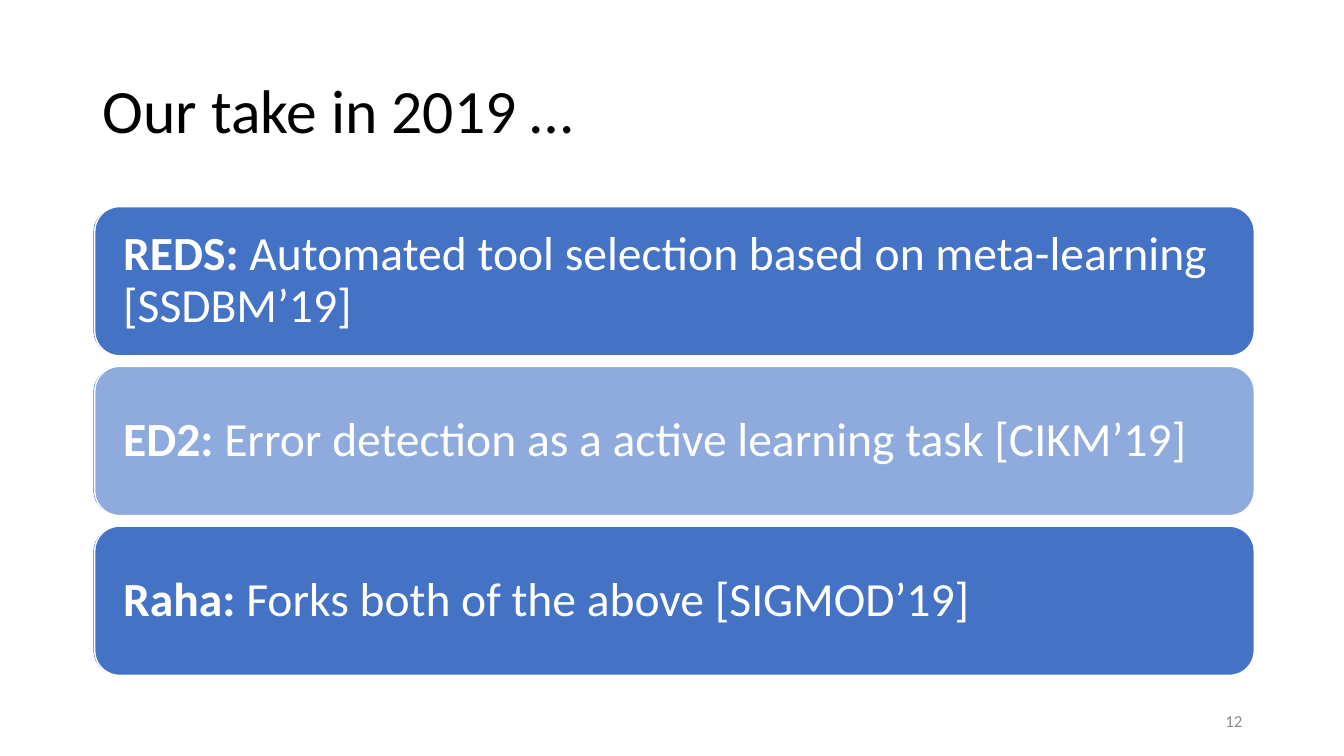
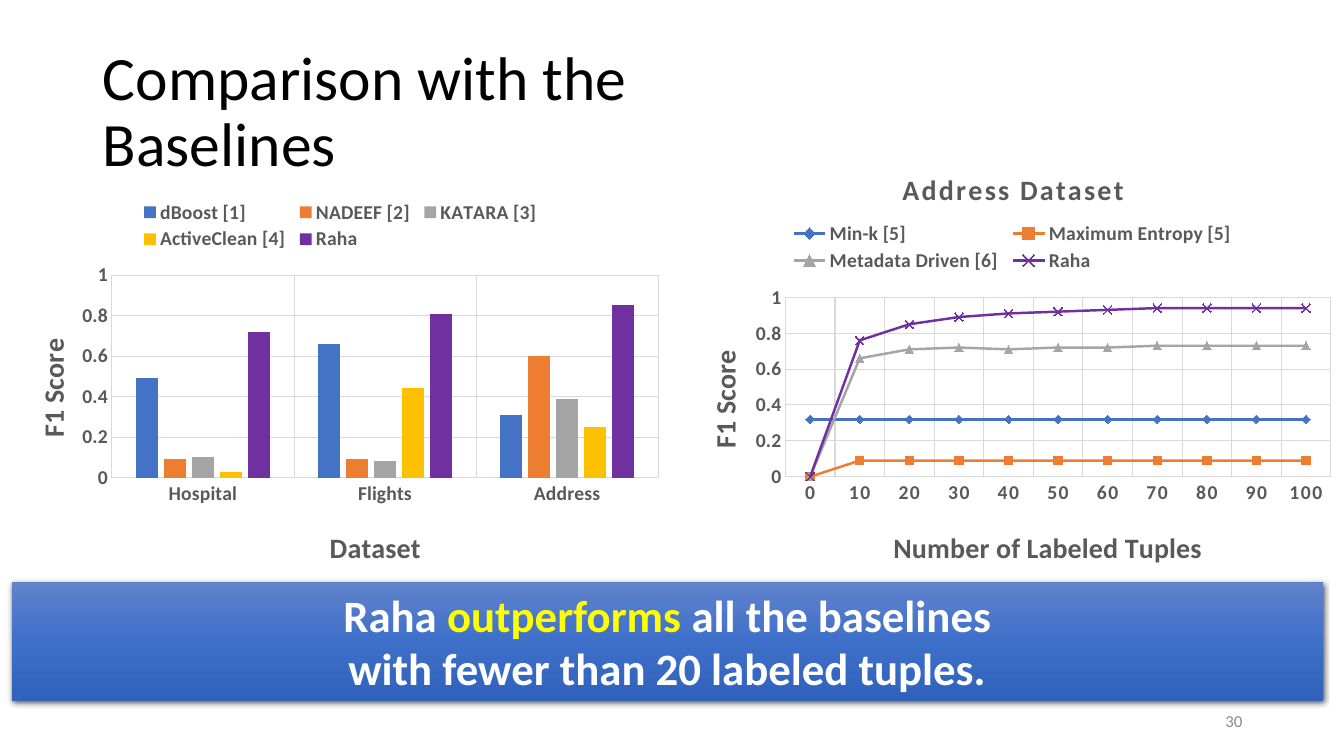
from dataclasses import dataclass
from typing import NamedTuple

import pptx
import pptx.chart.data
import pptx.dml.color
import pptx.enum.chart
import pptx.enum.shapes
import pptx.enum.text
import pptx.oxml
import pptx.oxml.ns
import pptx.util
from pptx.util import Inches

Align = pptx.enum.text.PP_ALIGN
Anchor = pptx.enum.text.MSO_ANCHOR
ChartType = pptx.enum.chart.XL_CHART_TYPE
Marker = pptx.enum.chart.XL_MARKER_STYLE
Shape = pptx.enum.shapes.MSO_SHAPE


@dataclass(frozen=True)
class Theme:
    font: str = "Calibri"
    black: str = "000000"
    white: str = "FFFFFF"
    blue: str = "4472C4"
    pale_blue: str = "8FAADC"
    orange: str = "ED7D31"
    gray: str = "A5A5A5"
    gold: str = "FFC000"
    purple: str = "7030A0"
    yellow: str = "FFFF00"
    footer: str = "8C8C8C"
    chart_text: str = "595959"
    grid: str = "D9D9D9"
    gradient: tuple[str, ...] = ("6183CB", "3E70CA", "3062BB")
    title_size: int = 44
    card_size: int = 34
    banner_size: int = 32
    axis_title_size: int = 20
    label_size: int = 14
    footer_size: int = 12


THEME = Theme()


class Box(NamedTuple):
    """Left, top, width and height in inches."""
    x: float
    y: float
    w: float = 0
    h: float = 0

    def lengths(self) -> list[int]:
        return [Inches(v) for v in self]


class Card(NamedTuple):
    name: str
    text: str
    fill: str


class Series(NamedTuple):
    name: str
    values: list[float]
    color: str
    marker: Marker | None = None


@dataclass(frozen=True)
class ChartSpec:
    kind: ChartType
    box: Box
    plot: Box
    legend: Box
    categories: list[str]
    series: list[Series]
    x_title: str
    x_title_at: Box
    y_title_at: Box
    title: str = ""
    title_at: Box | None = None


TITLE_BOX = Box(0.92, 0.4, 11.5, 1.45)
NUMBER_BOX = Box(9.42, 6.95, 3, 0.4)
CARD_TOP, CARD_STEP, CARD_W, CARD_H = 2.05, 1.585, 11.5, 1.48
CARD_X, CARD_BACK_X = 0.94, 0.92
BANNER_BOX = Box(0.12, 5.77, 13, 1.18)

CARDS = [
    Card("REDS: ", "Automated tool selection based on meta-learning [SSDBM’19]", THEME.blue),
    Card("ED2: ", "Error detection as a active learning task [CIKM’19]", THEME.pale_blue),
    Card("Raha: ", "Forks both of the above [SIGMOD’19]", THEME.blue),
]

BANNER_LINES = [
    [("Raha ", THEME.white), ("outperforms", THEME.yellow), (" all the baselines", THEME.white)],
    [("with fewer than 20 labeled tuples.", THEME.white)],
]

LABELED_TUPLES = ChartSpec(
    kind=ChartType.LINE_MARKERS,
    box=Box(6.67, 1.39, 6.67, 4.38),
    plot=Box(7.79, 2.95, 5.41, 1.78),
    legend=Box(7.79, 2.17, 4.5, 0.56),
    categories=[str(n) for n in range(0, 101, 10)],
    series=[
        Series("Min-k [5]", [0.32] * 11, THEME.blue, Marker.DIAMOND),
        Series("Maximum Entropy [5]", [0] + [0.09] * 10, THEME.orange, Marker.SQUARE),
        Series("Metadata Driven [6]",
               [0, 0.66, 0.71, 0.72, 0.71, 0.72, 0.72, 0.73, 0.73, 0.73, 0.73],
               THEME.gray, Marker.TRIANGLE),
        Series("Raha",
               [0, 0.76, 0.85, 0.89, 0.91, 0.92, 0.93, 0.94, 0.94, 0.94, 0.94],
               THEME.purple, Marker.X),
    ],
    x_title="Number of Labeled Tuples",
    x_title_at=Box(8.81, 5.19),
    y_title_at=Box(6.94, 3.42),
    title="Address Dataset",
    title_at=Box(8.9, 1.63),
)

DATASETS = ChartSpec(
    kind=ChartType.COLUMN_CLUSTERED,
    box=Box(0, 1.86, 6.67, 3.92),
    plot=Box(1.11, 2.73, 5.42, 2.01),
    legend=Box(1.35, 1.96, 4.05, 0.56),
    categories=["Hospital", "Flights", "Address"],
    series=[
        Series("dBoost [1]", [0.49, 0.66, 0.31], THEME.blue),
        Series("NADEEF [2]", [0.09, 0.09, 0.6], THEME.orange),
        Series("KATARA [3]", [0.1, 0.08, 0.39], THEME.gray),
        Series("ActiveClean [4]", [0.03, 0.44, 0.25], THEME.gold),
        Series("Raha", [0.72, 0.81, 0.85], THEME.purple),
    ],
    x_title="Dataset",
    x_title_at=Box(3.22, 5.19),
    y_title_at=Box(0.28, 3.31),
)


def rgb(color: str) -> pptx.dml.color.RGBColor:
    return pptx.dml.color.RGBColor.from_string(color)


def style_font(font, size: int, color: str, bold: bool = False) -> None:
    font.name, font.size, font.bold = THEME.font, pptx.util.Pt(size), bold
    font.color.rgb = rgb(color)


def style_line(line, color: str, width: float) -> None:
    line.color.rgb = rgb(color)
    line.width = pptx.util.Pt(width)


def add_run(p, text: str, size: int, color: str, bold: bool = False) -> None:
    r = p.add_run()
    r.text = text
    style_font(r.font, size, color, bold)


def add_slide(prs, title: str, number: int):
    """Add a title-only slide with its title and slide number."""
    s = prs.slides.add_slide(prs.slide_layouts[5])
    sp = s.shapes.title
    sp.left, sp.top, sp.width, sp.height = TITLE_BOX.lengths()
    tf = sp.text_frame
    tf.vertical_anchor = Anchor.MIDDLE
    p = tf.paragraphs[0]
    p.text = title
    p.alignment, p.line_spacing = Align.LEFT, 0.9
    for r in p.runs:
        style_font(r.font, THEME.title_size, THEME.black)

    tf = s.shapes.add_textbox(*NUMBER_BOX.lengths()).text_frame
    tf.word_wrap, tf.vertical_anchor = True, Anchor.MIDDLE
    p = tf.paragraphs[0]
    p.alignment = Align.RIGHT
    add_run(p, str(number), THEME.footer_size, THEME.footer)
    return s


def add_card_shape(s, x: float, y: float, fill: str):
    sp = s.shapes.add_shape(Shape.ROUNDED_RECTANGLE, *Box(x, y, CARD_W, CARD_H).lengths())
    sp.shadow.inherit = False
    sp.fill.solid()
    sp.fill.fore_color.rgb = rgb(fill)
    style_line(sp.line, THEME.white, 1)
    return sp


def add_card(s, card: Card, y: float) -> None:
    """Draw a card over a blue backing that shows along its left edge."""
    add_card_shape(s, CARD_BACK_X, y, THEME.blue)
    tf = add_card_shape(s, CARD_X, y, card.fill).text_frame
    tf.word_wrap, tf.vertical_anchor = True, Anchor.MIDDLE
    tf.margin_left = tf.margin_right = Inches(0.21)
    p = tf.paragraphs[0]
    p.alignment, p.line_spacing = Align.LEFT, 0.9
    add_run(p, card.name, THEME.card_size, THEME.white, True)
    add_run(p, card.text, THEME.card_size, THEME.white)


def add_banner(s) -> None:
    sp = s.shapes.add_shape(Shape.RECTANGLE, *BANNER_BOX.lengths())
    sp.line.fill.background()
    sp.fill.gradient()
    sp.fill.gradient_angle = 270
    ns = pptx.oxml.ns.nsdecls("a")
    stops = "".join(f'<a:gs pos="{i * 50000}"><a:srgbClr val="{color}"/></a:gs>'
                    for i, color in enumerate(THEME.gradient))
    old = sp.element.spPr.xpath(".//a:gsLst")[0]
    old.getparent().replace(old, pptx.oxml.parse_xml(f"<a:gsLst {ns}>{stops}</a:gsLst>"))
    sp.element.spPr.append(pptx.oxml.parse_xml(
        f'<a:effectLst {ns}><a:outerShdw blurRad="57150" dist="19050" dir="5400000" '
        'algn="ctr" rotWithShape="0"><a:srgbClr val="000000"><a:alpha val="63000"/>'
        '</a:srgbClr></a:outerShdw></a:effectLst>'))
    tf = sp.text_frame
    tf.word_wrap, tf.vertical_anchor = True, Anchor.MIDDLE
    for i, line in enumerate(BANNER_LINES):
        p = tf.add_paragraph() if i else tf.paragraphs[0]
        p.alignment = Align.CENTER
        for text, color in line:
            add_run(p, text, THEME.banner_size, color, True)


def place(element, index: int, box: Box, chart: Box, inner: bool = False) -> None:
    """Fix a chart part at a slide position, as fractions of the chart."""
    for old in element.xpath("./c:layout"):
        element.remove(old)
    parts = {"x": (box.x - chart.x) / chart.w, "y": (box.y - chart.y) / chart.h}
    if box.w:
        parts |= {"w": box.w / chart.w, "h": box.h / chart.h}
    target = '<c:layoutTarget val="inner"/>' if inner else ""
    modes = '<c:xMode val="edge"/><c:yMode val="edge"/>'
    values = "".join(f'<c:{key} val="{value:.4f}"/>' for key, value in parts.items())
    element.insert(index, pptx.oxml.parse_xml(
        f'<c:layout {pptx.oxml.ns.nsdecls("c")}><c:manualLayout>{target}{modes}{values}'
        '</c:manualLayout></c:layout>'))


def set_chart_title(title, text: str, at: Box, chart: Box):
    p = title.text_frame.paragraphs[0]
    add_run(p, text, THEME.axis_title_size, THEME.chart_text, True)
    place(title._element, 1, at, chart)
    return p


def add_chart(s, spec: ChartSpec) -> None:
    data = pptx.chart.data.CategoryChartData()
    data.categories = spec.categories
    for item in spec.series:
        data.add_series(item.name, item.values)
    chart = s.shapes.add_chart(spec.kind, *spec.box.lengths(), data).chart
    style_font(chart.font, 10, THEME.black)
    is_line = spec.kind == ChartType.LINE_MARKERS

    x_axis, y_axis = chart.category_axis, chart.value_axis
    for axis, text, at in ((x_axis, spec.x_title, spec.x_title_at),
                           (y_axis, "F1 Score", spec.y_title_at)):
        set_chart_title(axis.axis_title, text, at, spec.box)
        axis.major_tick_mark = axis.minor_tick_mark = pptx.enum.chart.XL_TICK_MARK.NONE
        axis.has_major_gridlines = True
        style_line(axis.major_gridlines.format.line, THEME.grid, 0.75)
        style_line(axis.format.line, THEME.grid, 0.75)
        style_font(axis.tick_labels.font, THEME.label_size, THEME.chart_text, True)
    y_axis.minimum_scale, y_axis.maximum_scale, y_axis.major_unit = 0, 1, 0.2
    y_body = y_axis.axis_title._element.xpath(".//a:bodyPr")[0]
    y_body.set("rot", "-5400000")
    y_body.set("vert", "horz")

    chart.has_title = bool(spec.title)
    if spec.title:
        p = set_chart_title(chart.chart_title, spec.title, spec.title_at, spec.box)
        p.runs[0].font._element.set("spc", "150")

    chart.has_legend = True
    chart.legend.position = pptx.enum.chart.XL_LEGEND_POSITION.TOP
    chart.legend.include_in_layout = False
    style_font(chart.legend.font, THEME.label_size, THEME.chart_text, True)
    place(chart.legend._element, 1, spec.legend, spec.box)
    place(chart._chartSpace.xpath(".//c:plotArea")[0], 0, spec.plot, spec.box, inner=True)

    plot = chart.plots[0]
    plot.vary_by_categories = False
    if is_line:
        chart._chartSpace.xpath(".//c:catAx/c:txPr//a:defRPr")[0].set("spc", "100")
    else:
        y_axis.format.line.fill.background()
        plot.gap_width, plot.overlap = 219, -27
    for series, item in zip(plot.series, spec.series):
        if not is_line:
            series.format.fill.solid()
            series.format.fill.fore_color.rgb = rgb(item.color)
            continue
        series.smooth = False
        style_line(series.format.line, item.color, 1.75)
        marker = series.marker
        marker.style, marker.size = item.marker, 6
        style_line(marker.format.line, item.color, 0.75)
        if item.marker == Marker.X:
            marker.format.fill.background()
        else:
            marker.format.fill.solid()
            marker.format.fill.fore_color.rgb = rgb(item.color)


def main() -> None:
    prs = pptx.Presentation()
    prs.slide_width, prs.slide_height = Inches(13.33), Inches(7.5)

    s = add_slide(prs, "Our take in 2019 …", 12)
    for i, card in enumerate(CARDS):
        add_card(s, card, CARD_TOP + i * CARD_STEP)

    s = add_slide(prs, "Comparison with the\vBaselines", 30)
    add_banner(s)
    for spec in (LABELED_TUPLES, DATASETS):
        add_chart(s, spec)

    prs.save("out.pptx")


if __name__ == "__main__":
    main()
